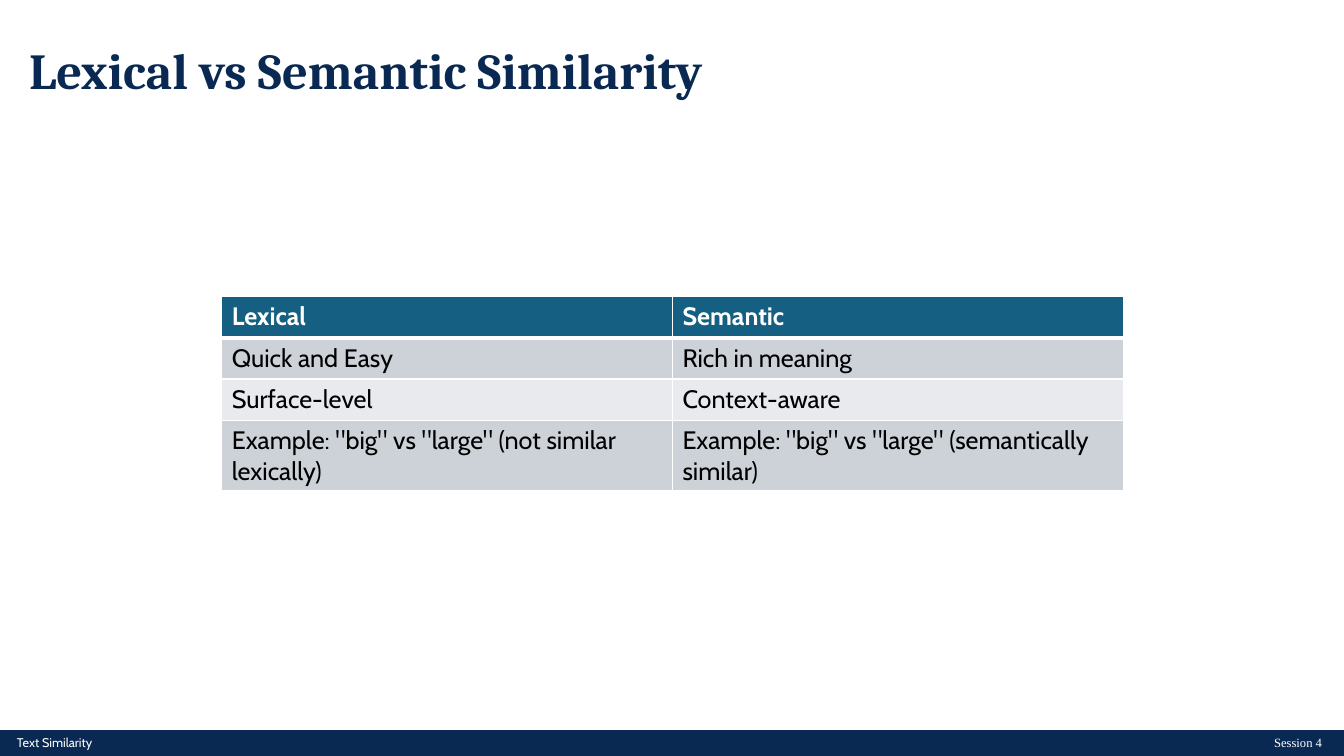
import pptx
import pptx.util
import pptx.dml.color
import pptx.enum.shapes
import pptx.enum.text
import pptx.oxml
import pptx.oxml.ns
from pptx.util import Inches

RGBColor = pptx.dml.color.RGBColor
ALIGN = pptx.enum.text.PP_ALIGN
ANCHOR = pptx.enum.text.MSO_ANCHOR

NAVY = RGBColor(0x09, 0x29, 0x53)
TEAL = RGBColor(0x15, 0x60, 0x82)
DARK_BAND = RGBColor(0xCC, 0xD2, 0xD8)
LIGHT_BAND = RGBColor(0xE8, 0xEA, 0xED)
WHITE = RGBColor(0xFF, 0xFF, 0xFF)
BLACK = RGBColor(0, 0, 0)

# Content
TITLE = "Lexical vs Semantic Similarity"
FOOTER_LEFT = "Text Similarity"
FOOTER_RIGHT = "Session 4"
COMPARISON = [
    ("Lexical", "Semantic"),
    ("Quick and Easy", "Rich in meaning"),
    ("Surface-level", "Context-aware"),
    ('Example: "big" vs "large" (not similar lexically)',
     'Example: "big" vs "large" (semantically similar)'),
]
SLIDE_WIDTH, SLIDE_HEIGHT = 13.33, 7.5
FOOTER_HEIGHT = 0.25
TABLE_LEFT, TABLE_TOP = 2.2, 2.94
COLUMN_WIDTH = 4.47
ROW_HEIGHTS = [0.41, 0.41, 0.41, 0.69]


def write(frame, text, font, size, color, bold=False, align=ALIGN.LEFT):
    para = frame.paragraphs[0]
    para.alignment = align
    span = para.add_run()
    span.text = text
    span.font.name = font
    span.font.size = pptx.util.Pt(size)
    span.font.color.rgb = color
    span.font.bold = bold
    return para


def add_text(page, place, text, *style, anchor=ANCHOR.TOP, **options):
    box = page.shapes.add_textbox(*map(Inches, place))
    box.text_frame.word_wrap = True
    box.text_frame.vertical_anchor = anchor
    return write(box.text_frame, text, *style, **options)


def set_borders(cell, widths):
    """Draw white borders; they come before the fill in the cell properties."""
    properties = cell._tc.get_or_add_tcPr()
    for index, (side, width) in enumerate(widths.items()):
        line = pptx.oxml.parse_xml(
            f'<a:ln{side} {pptx.oxml.ns.nsdecls("a")} w="{pptx.util.Pt(width)}">'
            f'<a:solidFill><a:srgbClr val="{WHITE}"/></a:solidFill></a:ln{side}>')
        properties.insert(index, line)


def add_comparison(page):
    columns = len(COMPARISON[0])
    table = page.shapes.add_table(
        len(COMPARISON), columns, Inches(TABLE_LEFT), Inches(TABLE_TOP),
        Inches(columns * COLUMN_WIDTH), Inches(sum(ROW_HEIGHTS))).table
    for column in table.columns:
        column.width = Inches(COLUMN_WIDTH)
    for r, texts in enumerate(COMPARISON):
        table.rows[r].height = Inches(ROW_HEIGHTS[r])
        header = r == 0
        fill = TEAL if header else (DARK_BAND if r % 2 else LIGHT_BAND)
        for c, text in enumerate(texts):
            cell = table.cell(r, c)
            cell.fill.solid()
            cell.fill.fore_color.rgb = fill
            write(cell.text_frame, text, "Cabin", 18,
                  WHITE if header else BLACK, bold=header)
            set_borders(cell, {"L": 1, "R": 1, "T": 3 if r == 1 else 1,
                               "B": 3 if header else 1})


def main():
    deck = pptx.Presentation()
    deck.slide_width = Inches(SLIDE_WIDTH)
    deck.slide_height = Inches(SLIDE_HEIGHT)
    page = deck.slides.add_slide(deck.slide_layouts[6])

    # Title
    title = add_text(page, (0.19, 0, 11.5, 1.45), TITLE, "Cambria", 36, NAVY,
                     bold=True, anchor=ANCHOR.MIDDLE)
    title.line_spacing = 0.9

    # Footer bar and its two labels
    bar = page.shapes.add_shape(
        pptx.enum.shapes.MSO_SHAPE.RECTANGLE, 0,
        Inches(SLIDE_HEIGHT - FOOTER_HEIGHT), Inches(SLIDE_WIDTH),
        Inches(FOOTER_HEIGHT))
    bar.shadow.inherit = False
    bar.fill.solid()
    bar.fill.fore_color.rgb = NAVY
    bar.line.color.rgb = NAVY
    bar.line.width = pptx.util.Pt(1.5)
    for left, text, font, align in [
            (0.07, FOOTER_LEFT, "Cabin", ALIGN.LEFT),
            (5.77, FOOTER_RIGHT, "Times New Roman", ALIGN.RIGHT)]:
        add_text(page, (left, 7.24, 7.44, FOOTER_HEIGHT), text, font, 9,
                 WHITE, align=align)

    # Comparison table
    add_comparison(page)
    deck.save("out.pptx")


if __name__ == "__main__":
    main()
